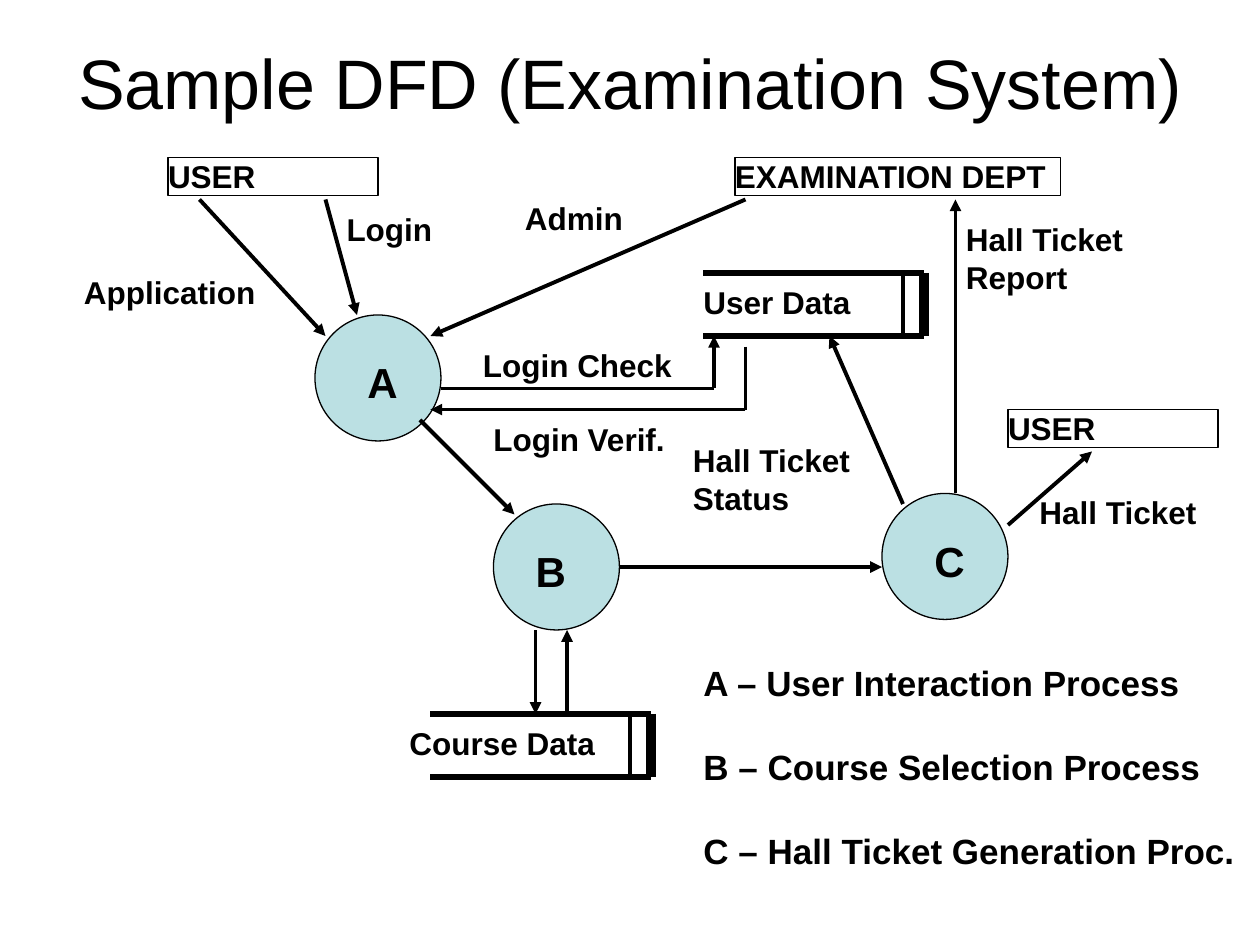
from itertools import pairwise

from lxml import etree
from pptx import Presentation
from pptx import util as u
from pptx.dml.color import RGBColor
from pptx.enum import shapes, text
from pptx.oxml.ns import qn

PX = u.Inches(1) // 120
FONT = "Arial"
BLACK = "000000"
PROCESS_FILL = "BBE0E3"


def px(*lengths):
    return [length * PX for length in lengths]


def color(hex_string):
    return RGBColor.from_string(hex_string)


def write(frame, words, size, bold=True):
    para = frame.paragraphs[0]
    span = para.add_run()
    span.text = words
    span.font.name = FONT
    span.font.size = u.Pt(size)
    span.font.bold = bold
    span.font.color.rgb = color(BLACK)
    return para


def fit_frame(frame):
    frame.margin_left = frame.margin_right = 0
    frame.margin_top = frame.margin_bottom = 0
    frame.word_wrap = True
    frame.vertical_anchor = text.MSO_ANCHOR.TOP
    frame.auto_size = text.MSO_AUTO_SIZE.SHAPE_TO_FIT_TEXT


def add_label(page, words, left, top, width, height=36, size=18):
    box = page.shapes.add_textbox(*px(left, top, width, height))
    fit_frame(box.text_frame)
    write(box.text_frame, words, size)


def add_outlined(page, kind, left, top, width, height, fill=None):
    shape = page.shapes.add_shape(kind, *px(left, top, width, height))
    shape.shadow.inherit = False
    if fill:
        shape.fill.solid()
        shape.fill.fore_color.rgb = color(fill)
    else:
        shape.fill.background()
    shape.line.color.rgb = color(BLACK)
    shape.line.width = u.Pt(0.75)
    return shape


def add_line(page, start, end, weight=2.25, arrow=False):
    line = page.shapes.add_connector(
        shapes.MSO_CONNECTOR.STRAIGHT, *px(*start, *end))
    line.line.color.rgb = color(BLACK)
    line.line.width = u.Pt(weight)
    if arrow:
        etree.SubElement(line.line._get_or_add_ln(), qn("a:tailEnd"), type="triangle")
    etree.SubElement(line._element.spPr, qn("a:effectLst"))


def add_title(page, words, left, top, width, height):
    title = page.shapes.title
    title.left, title.top, title.width, title.height = px(left, top, width, height)
    title.text_frame.vertical_anchor = text.MSO_ANCHOR.MIDDLE
    para = write(title.text_frame, words, 40, bold=False)
    para.alignment = text.PP_ALIGN.CENTER


def add_entity(page, words, left, top, width):
    shape = add_outlined(page, shapes.MSO_SHAPE.RECTANGLE, left, top, width, 36)
    fit_frame(shape.text_frame)
    write(shape.text_frame, words, 18).alignment = text.PP_ALIGN.LEFT


def add_process(page, letter, left, top, indent):
    add_outlined(page, shapes.MSO_SHAPE.OVAL, left, top, 120, 120, PROCESS_FILL)
    add_label(page, letter, left + indent, top + 40, 30, 48, size=24)


def add_store(page, words, left, top, indent):
    """Open-ended data store with a double bar at its right end."""
    right, bottom = left + 210, top + 60
    for y in (top, bottom):
        add_line(page, (left, y), (right, y), 3)
    for x, weight in ((right - 20, 2.25), (right, 6)):
        add_line(page, (x, top), (x, bottom), weight)
    add_label(page, words, left + indent, top + 10, 190)


def add_flow(page, *points):
    """Data flow through the points, with an arrowhead at the last."""
    for start, end in pairwise(points):
        add_line(page, start, end, arrow=end == points[-1])


def add_legend(page, entries, left, top, width):
    for row, words in enumerate(entries):
        add_label(page, words, left, top + 80 * row, width, 40, size=20)


ENTITIES = [
    ("USER", 160, 150, 200),
    ("EXAMINATION DEPT", 700, 150, 310),
    ("USER", 960, 390, 200),
]
PROCESSES = [("A", 300, 300, 50), ("B", 470, 480, 40), ("C", 840, 470, 50)]
STORES = [("User Data", 670, 260, 0), ("Course Data", 410, 680, -20)]
FLOWS = [
    [(190, 190), (310, 320)],  # application
    [(310, 190), (340, 300)],  # login
    [(710, 190), (410, 320)],  # admin
    [(420, 370), (680, 370), (680, 320)],  # login check
    [(710, 330), (710, 390), (410, 390)],  # login verification
    [(400, 400), (490, 490)],  # A to B
    [(590, 540), (840, 540)],  # B to C
    [(510, 600), (510, 680)],  # B to course data
    [(540, 680), (540, 600)],  # course data to B
    [(860, 480), (790, 320)],  # hall ticket status
    [(910, 470), (910, 190)],  # hall ticket report
    [(960, 500), (1040, 430)],  # hall ticket
]
LABELS = [
    ("Application", 80, 260, 180),
    ("Login", 330, 200, 150),
    ("Admin", 500, 190, 150),
    ("Login Check", 460, 330, 180),
    ("Login Verif.", 470, 400, 180),
    ("Hall Ticket Status", 660, 420, 180, 72),
    ("Hall Ticket Report", 920, 210, 180, 72),
    ("Hall Ticket", 990, 470, 180),
]
LEGEND = [
    "A – User Interaction Process",
    "B – Course Selection Process",
    "C – Hall Ticket Generation Proc.",
]


def main():
    deck = Presentation()
    deck.slide_width, deck.slide_height = px(1200, 900)
    page = deck.slides.add_slide(deck.slide_layouts[5])

    add_title(page, "Sample DFD (Examination System)", 60, 36, 1080, 84)
    # Diagram nodes, then the flows and their names
    for add_part, rows in ((add_process, PROCESSES), (add_entity, ENTITIES),
                           (add_store, STORES)):
        for row in rows:
            add_part(page, *row)
    for points in FLOWS:
        add_flow(page, *points)
    for label in LABELS:
        add_label(page, *label)
    add_legend(page, LEGEND, 670, 630, 530)

    deck.save("out.pptx")


if __name__ == "__main__":
    main()
